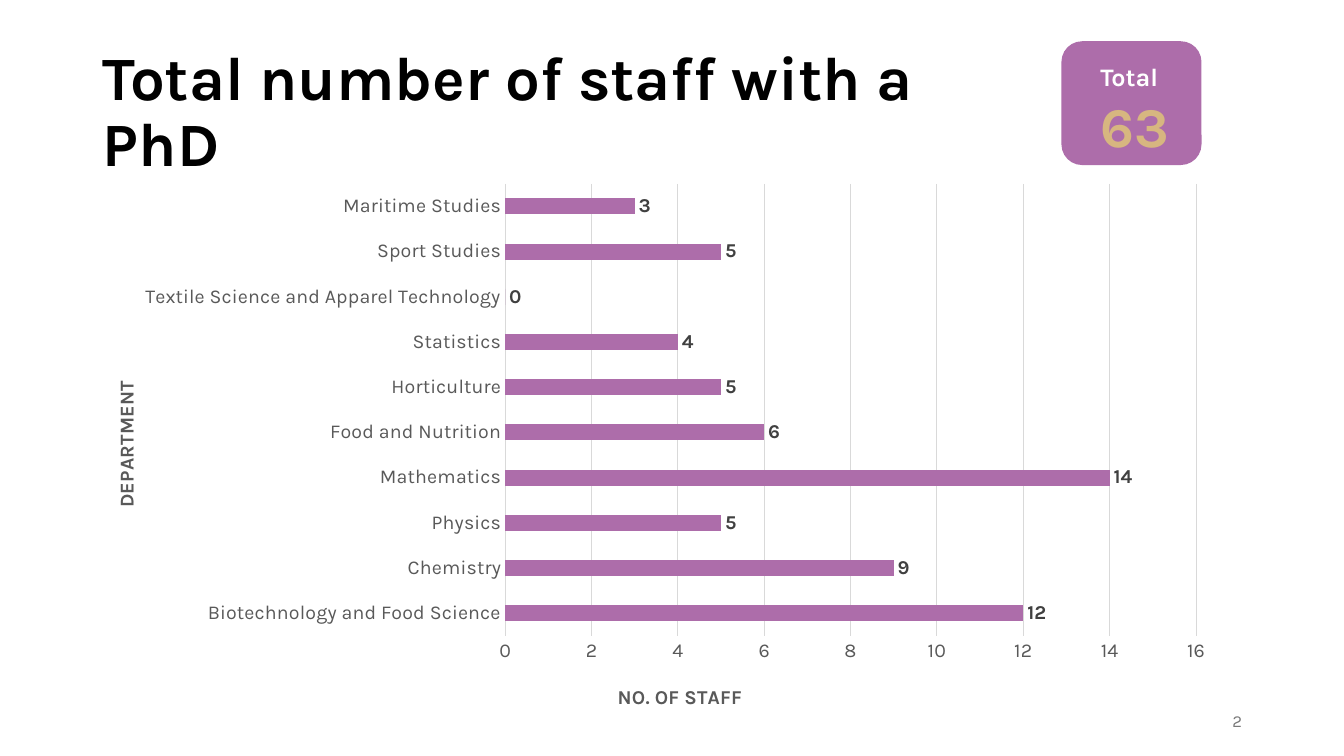
from lxml.etree import SubElement
from pptx import Presentation
from pptx.chart.data import CategoryChartData
from pptx.dml.color import RGBColor
from pptx.enum.chart import XL_CHART_TYPE, XL_LABEL_POSITION, XL_TICK_MARK
from pptx.enum.shapes import MSO_SHAPE
from pptx.enum.text import MSO_ANCHOR, PP_ALIGN
from pptx.oxml.ns import qn
from pptx.util import Cm, Pt

FONT = "Karla"
PURPLE = RGBColor(0xAD, 0x6D, 0xAA)
GOLD = RGBColor(0xD7, 0xB6, 0x80)
WHITE = RGBColor(0xFF, 0xFF, 0xFF)
BLACK = RGBColor(0, 0, 0)
AXIS_GREY = RGBColor(0x59, 0x59, 0x59)
LABEL_GREY = RGBColor(0x40, 0x40, 0x40)
GRID_GREY = RGBColor(0xD9, 0xD9, 0xD9)
NUMBER_GREY = RGBColor(0x79, 0x79, 0x79)

STAFF = {
    "Biotechnology and Food Science": 12,
    "Chemistry": 9,
    "Physics": 5,
    "Mathematics": 14,
    "Food and Nutrition": 6,
    "Horticulture": 5,
    "Statistics": 4,
    "Textile Science and Apparel Technology": 0,
    "Sport Studies": 5,
    "Maritime Studies": 3,
}


def style_font(font, size, color, bold=False):
    font.name = FONT
    font.size = Pt(size)
    font.bold = bold
    font.color.rgb = color


def set_layout(parent, index, **settings):
    for old in parent.findall(qn("c:layout")):
        parent.remove(old)
    layout = SubElement(parent, qn("c:layout"))
    parent.insert(index, layout)
    manual = SubElement(layout, qn("c:manualLayout"))
    for name, value in settings.items():
        SubElement(manual, qn(f"c:{name}")).set("val", str(value))


def add_title(page, left, top, width, height):
    title = page.shapes.title
    title.left, title.top, title.width, title.height = left, top, width, height
    frame = title.text_frame
    frame.text = "Total number of staff with a PhD"
    frame.word_wrap = True
    frame.vertical_anchor = MSO_ANCHOR.MIDDLE
    para = frame.paragraphs[0]
    para.alignment = PP_ALIGN.LEFT
    para.line_spacing = 0.9
    style_font(para.runs[0].font, 44, BLACK, True)


def style_axis(axis, title, x, y):
    axis.major_tick_mark = axis.minor_tick_mark = XL_TICK_MARK.NONE
    style_font(axis.tick_labels.font, 14, AXIS_GREY)
    frame = axis.axis_title.text_frame
    frame.text = title
    style_font(frame.paragraphs[0].runs[0].font, 14, AXIS_GREY, True)
    title_xml = frame.paragraphs[0].runs[0].font._element.getparent()
    while title_xml.tag != qn("c:title"):
        title_xml = title_xml.getparent()
    set_layout(title_xml, 1, xMode="edge", yMode="edge", x=x, y=y)


def add_staff_chart(page, left, top, width, height):
    data = CategoryChartData()
    data.categories = list(STAFF)
    data.add_series("Series 1", list(STAFF.values()))
    chart = page.shapes.add_chart(
        XL_CHART_TYPE.BAR_CLUSTERED, left, top, width, height, data
    ).chart
    chart.has_title = False
    chart.has_legend = False
    style_font(chart.font, 10, BLACK)

    departments, counts = chart.category_axis, chart.value_axis
    style_axis(departments, "DEPARTMENT", 0.035, 0.37)
    departments.axis_title.text_frame._txBody.bodyPr.set("rot", "-5400000")
    departments.format.line.color.rgb = GRID_GREY
    departments.format.line.width = Pt(0.75)
    style_axis(counts, "NO. OF STAFF", 0.47, 0.92)
    counts.minimum_scale, counts.maximum_scale, counts.major_unit = 0, 16, 2
    counts.format.line.fill.background()
    counts.major_gridlines.format.line.color.rgb = GRID_GREY
    counts.major_gridlines.format.line.width = Pt(0.75)

    plot = chart.plots[0]
    plot.gap_width = 182
    plot.vary_by_categories = False
    bars = plot.series[0]
    bars.format.fill.solid()
    bars.format.fill.fore_color.rgb = PURPLE
    labels = bars.data_labels
    labels.show_value = True
    labels.position = XL_LABEL_POSITION.OUTSIDE_END
    style_font(labels.font, 14, LABEL_GREY, True)
    plot_area = chart._chartSpace.find(f".//{qn('c:plotArea')}")
    set_layout(plot_area, 0, layoutTarget="inner", xMode="edge", yMode="edge",
               x=0.376, y=0.019, w=0.596, h=0.82)


def add_total_badge(page, left, top, width, height):
    badge = page.shapes.add_shape(
        MSO_SHAPE.ROUNDED_RECTANGLE, left, top, width, height
    )
    badge.shadow.inherit = False
    badge.fill.solid()
    badge.fill.fore_color.rgb = PURPLE
    badge.line.fill.background()
    box = page.shapes.add_textbox(
        left + Cm(0.73), top + Cm(0.38), width - Cm(0.48), height - Cm(0.38)
    )
    frame = box.text_frame
    frame.word_wrap = True
    frame.text = f"Total\n{sum(STAFF.values())}"
    for para, size, color in zip(frame.paragraphs, (18, 40), (WHITE, GOLD)):
        style_font(para.runs[0].font, size, color, True)


def add_page_number(page, left, top, width, height):
    frame = page.shapes.add_textbox(left, top, width, height).text_frame
    frame.word_wrap = True
    frame.vertical_anchor = MSO_ANCHOR.MIDDLE
    frame.text = "2"
    para = frame.paragraphs[0]
    para.alignment = PP_ALIGN.RIGHT
    style_font(para.runs[0].font, 12, NUMBER_GREY)


def main():
    deck = Presentation()
    deck.slide_width, deck.slide_height = Cm(33.87), Cm(19.05)
    page = deck.slides.add_slide(deck.slide_layouts[5])
    add_title(page, Cm(2.34), Cm(1.02), Cm(22.12), Cm(3.68))
    add_staff_chart(page, Cm(1.75), Cm(4.37), Cm(29.21), Cm(13.89))
    add_total_badge(page, Cm(26.75), Cm(1.04), Cm(3.53), Cm(3.12))
    add_page_number(page, Cm(23.93), Cm(17.65), Cm(7.62), Cm(1.02))
    deck.save("out.pptx")


if __name__ == "__main__":
    main()
